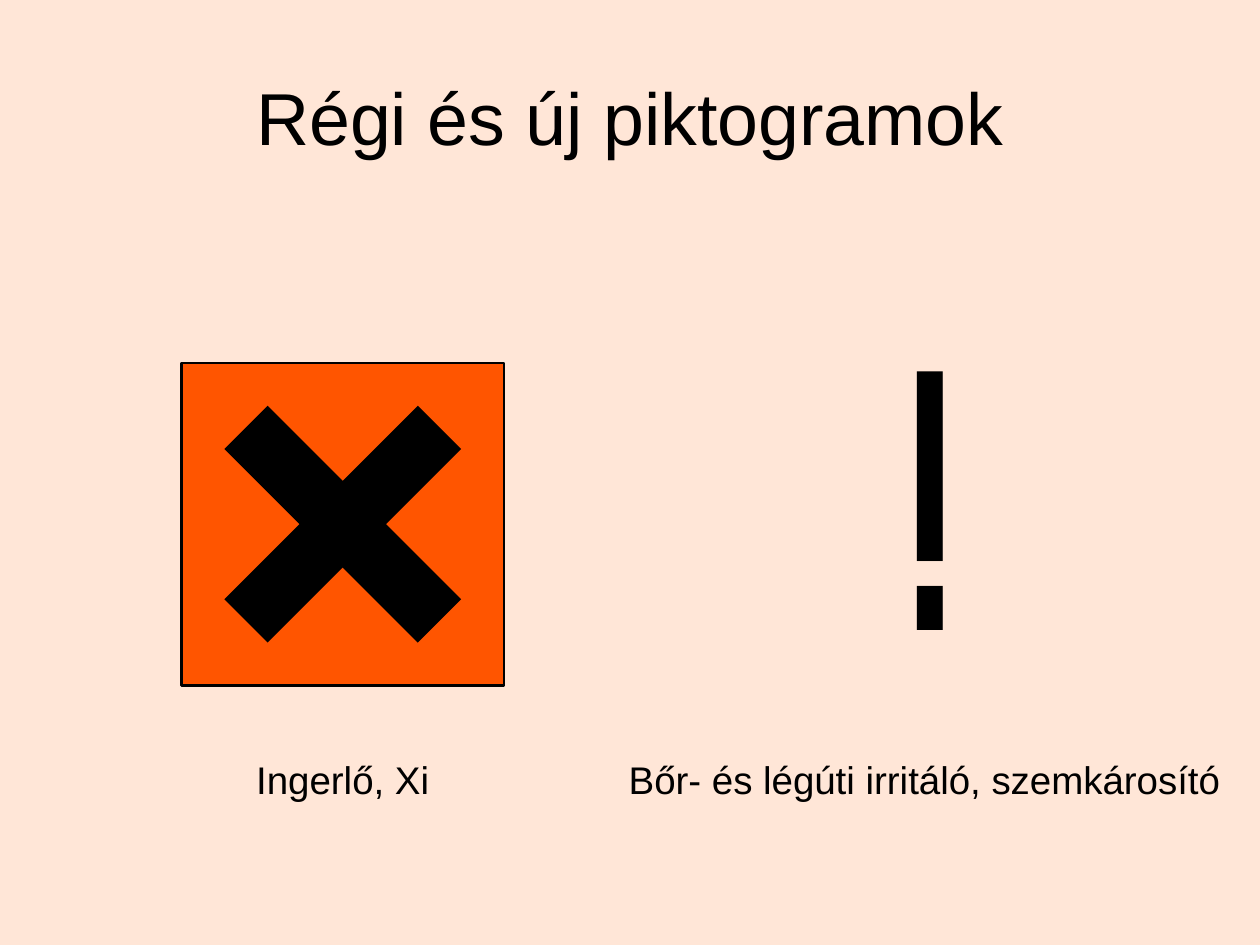
import dataclasses

import pptx
import pptx.dml.color
import pptx.enum.shapes
import pptx.enum.text
import pptx.oxml.ns
import pptx.util
import lxml.etree

Inch = pptx.util.Inches
Pt = pptx.util.Pt
Anchor = pptx.enum.text.MSO_ANCHOR


@dataclasses.dataclass(frozen=True)
class Theme:
    back: str = "FFE6D7"
    ink: str = "000000"
    sign: str = "FF5500"
    font: str = "Arial"
    mark_font: str = "TeX Gyre Adventor"
    title: int = 42
    label: int = 22
    mark: int = 200
    edge: float = 1.5
    bar: int = 35


THEME = Theme()
WIDE, HIGH = 10, 7.5
LEFT, RIGHT = 2.72, 7.38  # centre lines of the old and the new sign
LABEL_TOP, LABEL_HIGH = 5.95, 0.47


def color(code):
    return pptx.dml.color.RGBColor.from_string(code)


def center(mid, top, wide, high):
    """Return a box (left, top, width, height) centred on the line x = mid."""
    return mid - wide / 2, top, wide, high


def write(slide, box, words, size, font=THEME.font, anchor=Anchor.TOP):
    frame = slide.shapes.add_textbox(*map(Inch, box)).text_frame
    frame.word_wrap = True
    frame.vertical_anchor = anchor
    para = frame.paragraphs[0]
    para.alignment = pptx.enum.text.PP_ALIGN.CENTER
    run = para.add_run()
    run.text = words
    run.font.name = font
    run.font.size = Pt(size)
    run.font.color.rgb = color(THEME.ink)


def label(slide, mid, wide, words):
    write(slide, center(mid, LABEL_TOP, wide, LABEL_HIGH), words, THEME.label)


def stroke(shape, width):
    shape.line.color.rgb = color(THEME.ink)
    shape.line.width = Pt(width)


def cross(slide, box):
    """Draw the old sign: a square with two thick diagonal bars."""
    left, top, wide, high = box
    group = slide.shapes.add_group_shape()
    square = group.shapes.add_shape(
        pptx.enum.shapes.MSO_SHAPE.RECTANGLE, *map(Inch, box))
    square.shadow.inherit = False
    square.fill.solid()
    square.fill.fore_color.rgb = color(THEME.sign)
    stroke(square, THEME.edge)

    near, far = 0.2, 0.8
    for start, end in ((far, near), (near, far)):
        bar = group.shapes.add_connector(
            pptx.enum.shapes.MSO_CONNECTOR.STRAIGHT,
            Inch(left + start * wide), Inch(top + near * high),
            Inch(left + end * wide), Inch(top + far * high))
        stroke(bar, THEME.bar)
        lxml.etree.SubElement(
            bar._element.spPr, pptx.oxml.ns.qn("a:effectLst"))


def old_sign(slide):
    cross(slide, center(LEFT, 2.88, 2.56, 2.56))
    label(slide, LEFT, 2.68, "Ingerlő, Xi")


def new_sign(slide):
    write(slide, center(RIGHT, 2.18, 1.65, 3.47), "!",
          THEME.mark, THEME.mark_font)
    label(slide, RIGHT, 5.24, "Bőr- és légúti irritáló, szemkárosító ")


def main():
    deck = pptx.Presentation()
    deck.slide_width, deck.slide_height = Inch(WIDE), Inch(HIGH)
    slide = deck.slides.add_slide(deck.slide_layouts[6])
    slide.background.fill.solid()
    slide.background.fill.fore_color.rgb = color(THEME.back)
    write(slide, center(WIDE / 2, 0.3, 9, 1.25), "Régi és új piktogramok",
          THEME.title, anchor=Anchor.MIDDLE)
    new_sign(slide)
    old_sign(slide)
    deck.save("out.pptx")


if __name__ == "__main__":
    main()
